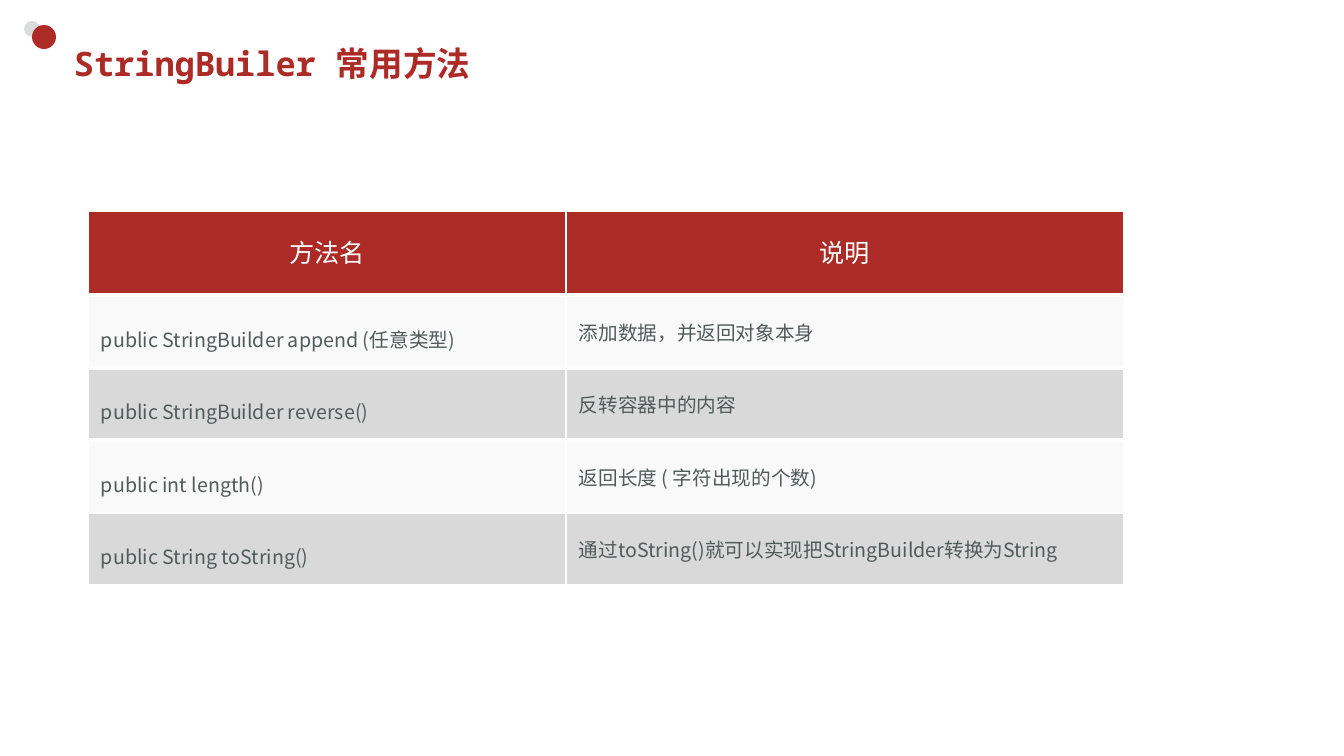
from lxml import etree
from pptx import Presentation, util as u
from pptx.dml.color import RGBColor
from pptx.enum import shapes, text
from pptx.oxml.ns import qn

EMU_PER_PX = 914400 / 100.8

RED = RGBColor(0xAD, 0x2B, 0x26)
DOT_GRAY = RGBColor(0xDA, 0xDD, 0xDC)
WHITE = RGBColor(0xFF, 0xFF, 0xFF)
BODY_GRAY = RGBColor(0x52, 0x5B, 0x5A)
LIGHT_ROW = RGBColor(0xF9, 0xF9, 0xF9)
DARK_ROW = RGBColor(0xD9, 0xD9, 0xD9)

CJK_FONT = "Noto Sans CJK JP"
MONO_FONT = "Noto Sans Mono"
HEADER_FONT = "Lato"

COLUMN_WIDTHS = (478, 558)
ROW_HEIGHTS = (84, 73, 72, 73, 72)
METHODS = (
    ("方法名", "说明"),
    ("public StringBuilder append (任意类型)", "添加数据，并返回对象本身"),
    ("public StringBuilder reverse()", "反转容器中的内容"),
    ("public int length()", "返回长度 ( 字符出现的个数)"),
    ("public String toString()", "通过toString()就可以实现把StringBuilder转换为String"),
)


def px(length):
    return u.Emu(round(length * EMU_PER_PX))


def style_run(run, size, font, color, bold=False):
    """Format a run, with the CJK font for its East Asian characters."""
    run.font.size = u.Pt(size)
    run.font.name = font
    run.font.bold = bold
    run.font.color.rgb = color
    east_asian = etree.SubElement(run.font._element, qn("a:ea"))
    east_asian.set("typeface", CJK_FONT)


def add_dot(slide, left, top, diameter, color):
    dot = slide.shapes.add_shape(shapes.MSO_SHAPE.OVAL, px(left), px(top), px(diameter), px(diameter))
    dot.shadow.inherit = False
    dot.fill.solid()
    dot.fill.fore_color.rgb = color
    dot.line.fill.background()


def add_title(slide):
    title = slide.shapes.add_textbox(px(64), px(37), px(1183), px(53))
    frame = title.text_frame
    frame.word_wrap = True
    frame.vertical_anchor = text.MSO_ANCHOR.MIDDLE
    for words, font in (("StringBuiler ", MONO_FONT), ("常用方法", CJK_FONT)):
        run = frame.paragraphs[0].add_run()
        run.text = words
        style_run(run, 24, font, RED, bold=True)


def set_borders(cell, top, bottom):
    """Draw white borders: 1 pt at the sides, the given points above and below."""
    properties = cell._tc.get_or_add_tcPr()
    for side, points in (("L", 1), ("R", 1), ("T", top), ("B", bottom)):
        border = etree.SubElement(properties, qn(f"a:ln{side}"), w=str(u.Pt(points)))
        fill = etree.SubElement(border, qn("a:solidFill"))
        etree.SubElement(fill, qn("a:srgbClr"), val=str(WHITE))


def fill_cell(cell, words, row, column):
    is_header = row == 0
    set_borders(cell, top=3 if 1 <= row <= 3 else 1, bottom=3 if row <= 2 else 1)
    cell.fill.solid()
    cell.fill.fore_color.rgb = RED if is_header else (DARK_ROW, LIGHT_ROW)[row % 2]
    cell.vertical_anchor = text.MSO_ANCHOR.MIDDLE
    cell.margin_left = cell.margin_right = px(10 if is_header else 13)
    cell.margin_top = cell.margin_bottom = px(5 if is_header else 7)

    cell.text_frame.text = words
    paragraph = cell.text_frame.paragraphs[0]
    if is_header:
        paragraph.alignment = text.PP_ALIGN.CENTER
        paragraph.line_spacing = u.Pt(24)
        style_run(paragraph.runs[0], 18, HEADER_FONT, WHITE)
    else:
        if column == 0:
            paragraph.line_spacing = 1.5
        style_run(paragraph.runs[0], 14, CJK_FONT, BODY_GRAY)


def add_method_table(slide):
    frame = slide.shapes.add_table(
        len(METHODS), len(COLUMN_WIDTHS), px(88), px(211), px(sum(COLUMN_WIDTHS)), px(sum(ROW_HEIGHTS))
    )
    table = frame.table
    for column, width in zip(table.columns, COLUMN_WIDTHS):
        column.width = px(width)
    for row, height in zip(table.rows, ROW_HEIGHTS):
        row.height = px(height)
    for row, method in enumerate(METHODS):
        for column, words in enumerate(method):
            fill_cell(table.cell(row, column), words, row, column)


def main():
    presentation = Presentation()
    presentation.slide_width = px(1344)
    presentation.slide_height = px(756)
    slide = presentation.slides.add_slide(presentation.slide_layouts[6])
    add_dot(slide, 24, 21, 16, DOT_GRAY)
    add_dot(slide, 32, 25, 24, RED)
    add_title(slide)
    add_method_table(slide)
    presentation.save("out.pptx")


if __name__ == "__main__":
    main()
